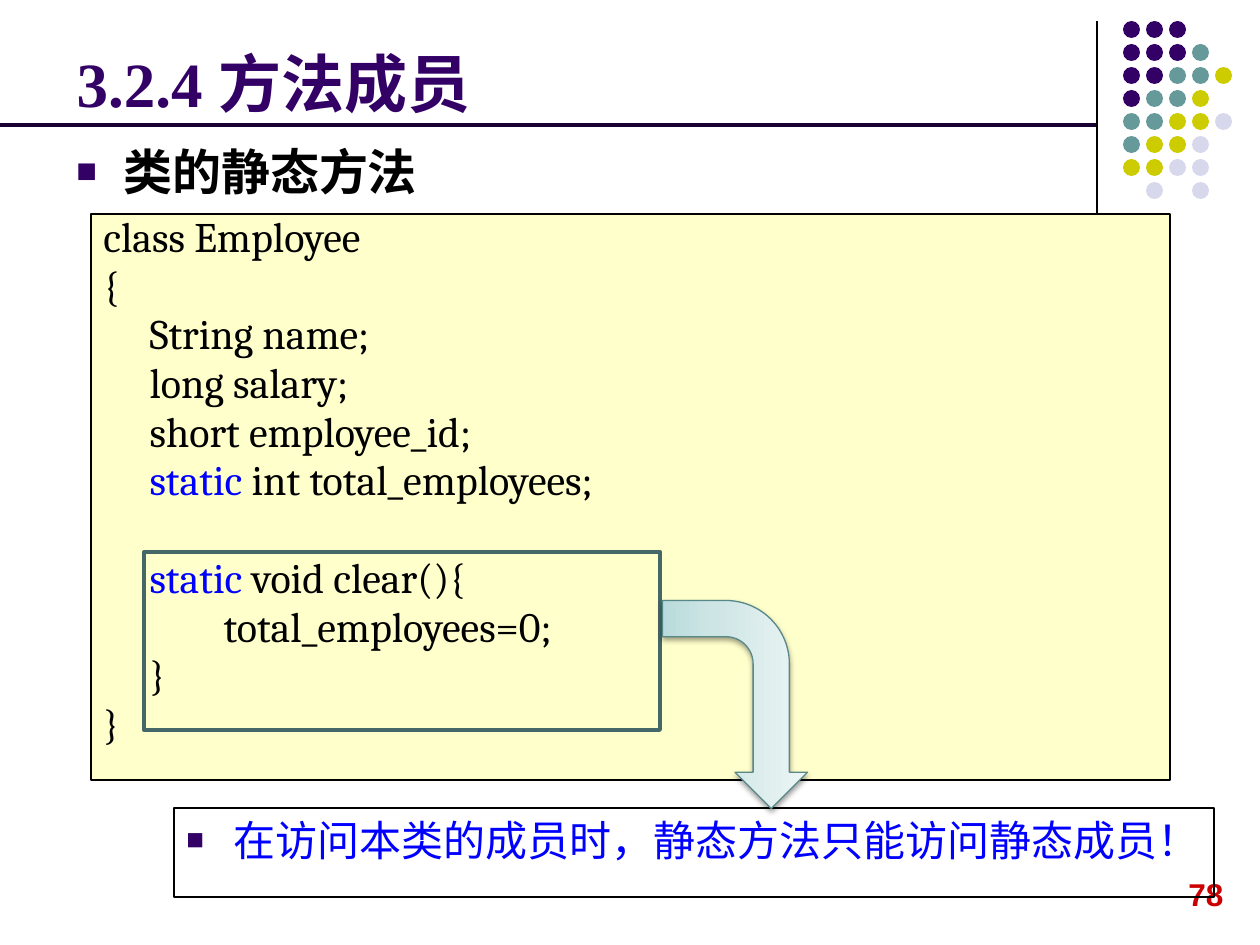
"""Build the slide on static method members."""
from dataclasses import dataclass

from lxml import etree
from pptx import Presentation
from pptx.dml.color import RGBColor
from pptx.enum.shapes import MSO_CONNECTOR, MSO_SHAPE
from pptx.enum.text import MSO_ANCHOR, MSO_AUTO_SIZE, PP_ALIGN
from pptx.oxml import parse_xml
from pptx.oxml.ns import qn
from pptx.util import Emu, Pt

RECTANGLE = MSO_SHAPE.RECTANGLE
OVAL = MSO_SHAPE.OVAL
BENT_ARROW = MSO_SHAPE.BENT_ARROW
STRAIGHT = MSO_CONNECTOR.STRAIGHT
TOP, BOTTOM = MSO_ANCHOR.TOP, MSO_ANCHOR.BOTTOM
NO_RESIZE = MSO_AUTO_SIZE.NONE
LEFT = PP_ALIGN.LEFT

BLACK = RGBColor(0, 0, 0)
PURPLE = RGBColor(0x33, 0, 0x66)
DARK_PURPLE = RGBColor(0x19, 0, 0x33)
TEAL = RGBColor(0x66, 0x99, 0x99)
DARK_TEAL = RGBColor(0x45, 0x67, 0x67)
ARROW_EDGE = RGBColor(0x59, 0x88, 0x88)
OLIVE = RGBColor(0xCC, 0xCC, 0)
LAVENDER = RGBColor(0xD8, 0xD8, 0xEC)
CREAM = RGBColor(0xFF, 0xFF, 0xCC)
BLUE = RGBColor(0, 0, 0xFF)
RED = RGBColor(0xCC, 0, 0)

EMU_PER_PX = 914400 / 126
DRAWING = 'xmlns:a="http://schemas.openxmlformats.org/drawingml/2006/main"'
DOT_COLORS = {"P": PURPLE, "T": TEAL, "O": OLIVE, "L": LAVENDER}
DOT_ROWS = ["PPP", "PPPT", "PPTTO", "PTTO", "TTOOL", "TOOL", "OOLL", ".L.L"]
DOT_LEFT, DOT_TOP, DOT_PITCH, DOT_SIZE = 1123, 21, 23, 17
KEYWORD = "static "
CODE_GROUPS = [
    [
        "class Employee",
        "{",
        "     String name;",
        "     long salary;",
        "     short employee_id;",
        "     static int total_employees;",
    ],
    [
        "     static void clear(){",
        "             total_employees=0;",
        "     }",
        "}",
    ],
]
LINE_GAP, GROUP_GAP = 4.8, 32.6
ARROW_GRADIENT = f"""<a:gradFill {DRAWING} rotWithShape="1"><a:gsLst>
<a:gs pos="0"><a:srgbClr val="B9DBDB"/></a:gs>
<a:gs pos="35000"><a:srgbClr val="CEE5E5"/></a:gs>
<a:gs pos="100000"><a:srgbClr val="ECF5F5"/></a:gs>
</a:gsLst><a:lin ang="16200000" scaled="1"/></a:gradFill>"""
ARROW_SHADOW = f"""<a:effectLst {DRAWING}>
<a:outerShdw blurRad="40000" dist="20000" dir="5400000" rotWithShape="0">
<a:srgbClr val="000000"><a:alpha val="38000"/></a:srgbClr>
</a:outerShdw></a:effectLst>"""


@dataclass(frozen=True)
class Area:
    left: int
    top: int
    width: int
    height: int

    def emu(self) -> list[Emu]:
        return [px(n) for n in (self.left, self.top, self.width, self.height)]


@dataclass(frozen=True)
class Style:
    font: str
    size: int
    color: RGBColor
    bold: bool = False


def px(length: int) -> Emu:
    return Emu(round(length * EMU_PER_PX))


def add_box(slide, kind, area: Area, fill=None, line=None, width=0.75):
    box = slide.shapes.add_shape(kind, *area.emu())
    box.shadow.inherit = False
    if fill is None:
        box.fill.background()
    else:
        box.fill.solid()
        box.fill.fore_color.rgb = fill
    if line is None:
        box.line.fill.background()
    else:
        box.line.color.rgb = line
        box.line.width = Pt(width)
    return box


def add_line(slide, start: tuple, end: tuple, color: RGBColor, width: float) -> None:
    line = slide.shapes.add_connector(STRAIGHT, *map(px, start + end))
    line.line.color.rgb = color
    line.line.width = Pt(width)
    etree.SubElement(line._element.spPr, qn("a:effectLst"))


def set_font(para, style: Style) -> None:
    para.alignment = LEFT
    para.font.name = style.font
    para.font.size = Pt(style.size)
    para.font.bold = style.bold
    para.font.color.rgb = style.color


def add_bullet(para) -> None:
    props = para._p.get_or_add_pPr()
    props.set("marL", str(px(47)))
    props.set("indent", str(-px(47)))
    color = etree.SubElement(props, qn("a:buClr"))
    etree.SubElement(color, qn("a:srgbClr"), val=str(PURPLE))
    etree.SubElement(props, qn("a:buSzPct"), val="70000")
    etree.SubElement(props, qn("a:buFont"), typeface="Arial")
    etree.SubElement(props, qn("a:buChar"), char="■")


def write(box, text: str, style: Style, bullet=False, wrap=True, anchor=TOP) -> None:
    frame = box.text_frame
    frame.auto_size = NO_RESIZE
    frame.word_wrap = wrap
    frame.vertical_anchor = anchor
    para = frame.paragraphs[0]
    para.add_run().text = text
    if bullet:
        add_bullet(para)
    set_font(para, style)


def write_code(box, style: Style) -> None:
    frame = box.text_frame
    frame.word_wrap = True
    frame.vertical_anchor = TOP
    for group_index, group in enumerate(CODE_GROUPS):
        for line_index, line in enumerate(group):
            first = group_index == line_index == 0
            para = frame.paragraphs[0] if first else frame.add_paragraph()
            para.line_spacing = 0.8
            if not first:
                para.space_before = Pt(LINE_GAP if line_index else GROUP_GAP)
            set_font(para, style)
            for part in filter(None, line.partition(KEYWORD)):
                span = para.add_run()
                span.text = part
                if part == KEYWORD:
                    span.font.color.rgb = BLUE


def add_dots(slide) -> None:
    for row, letters in enumerate(DOT_ROWS):
        for column, letter in enumerate(letters):
            if letter in DOT_COLORS:
                left = DOT_LEFT + column * DOT_PITCH
                top = DOT_TOP + row * DOT_PITCH
                area = Area(left, top, DOT_SIZE, DOT_SIZE)
                add_box(slide, OVAL, area, DOT_COLORS[letter])


def add_arrow(slide, area: Area) -> None:
    arrow = add_box(slide, BENT_ARROW, area, line=ARROW_EDGE)
    arrow.rotation = 90
    props = arrow._element.spPr
    props.replace(props.find(qn("a:noFill")), parse_xml(ARROW_GRADIENT))
    props.replace(props.find(qn("a:effectLst")), parse_xml(ARROW_SHADOW))


def main() -> None:
    deck = Presentation()
    deck.slide_width, deck.slide_height = px(1260), px(945)
    slide = deck.slides.add_slide(deck.slide_layouts[5])
    add_line(slide, (1097, 21), (1097, 231), BLACK, 0.75)
    add_dots(slide)
    number = slide.shapes.add_textbox(*Area(1176, 869, 60, 50).emu())
    write(number, "78", Style("Arial", 18, RED, True), wrap=False)

    title = slide.shapes.title
    title.left, title.top, title.width, title.height = Area(64, 26, 1040, 100).emu()
    write(title, "3.2.4 方法成员", Style("Times New Roman", 36, PURPLE, True), anchor=BOTTOM)
    topic = slide.shapes.add_textbox(*Area(64, 135, 1134, 69).emu())
    write(topic, "类的静态方法", Style("Arial", 28, BLACK, True), bullet=True)
    add_line(slide, (0, 125), (1096, 125), DARK_PURPLE, 2.25)

    note = add_box(slide, RECTANGLE, Area(174, 808, 1040, 89), line=BLACK)
    note_style = Style("Noto Sans CJK SC", 24, BLUE)
    write(note, "在访问本类的成员时，静态方法只能访问静态成员！", note_style, bullet=True)
    code = add_box(slide, RECTANGLE, Area(91, 214, 1079, 566), CREAM, BLACK)
    write_code(code, Style("Cambria", 24, BLACK))
    add_box(slide, RECTANGLE, Area(144, 552, 516, 178), line=DARK_TEAL, width=2.25)
    add_arrow(slide, Area(631, 632, 208, 145))
    deck.save("out.pptx")


if __name__ == "__main__":
    main()
